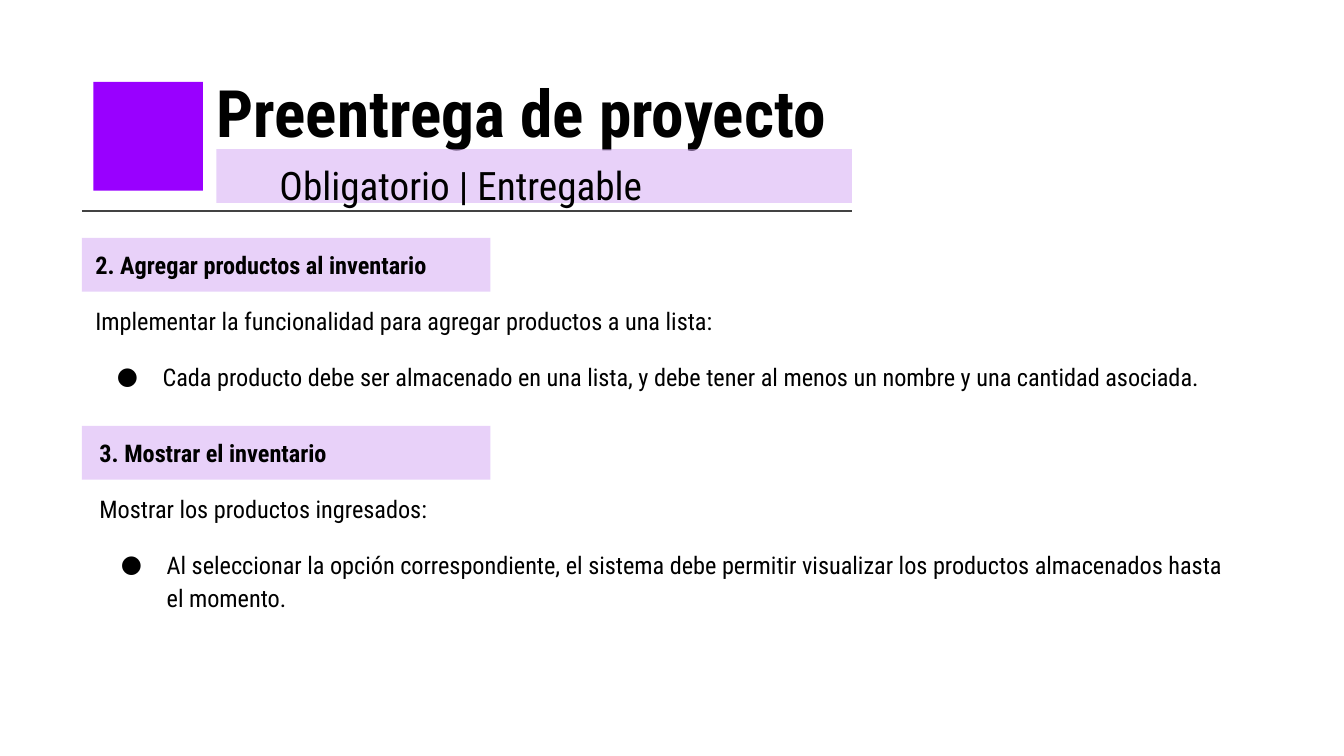
"""Build the project pre-delivery slide on a grid of tenth-of-an-inch columns and rows."""
import lxml.etree
import pptx
import pptx.dml.color
import pptx.enum.shapes
import pptx.enum.text
import pptx.oxml.ns
import pptx.util

COLORS = {"purple": "9900FF", "lilac": "D2A6F4", "rule": "434343", "text": "000000"}
FONT = "Roboto Condensed"
LEFT_COLUMN = 6.1
RIGHT_COLUMN = 63.4
BAND_ROWS = 4
SECTIONS = [
    {
        "box": (6.1, 17.3, 86, 15.7),
        "band_row": 17.7,
        "heading": "2. Agregar productos al inventario",
        "intro": "Implementar la funcionalidad para agregar productos a una lista:",
        "bullet": "Cada producto debe ser almacenado en una lista, y debe tener "
                  "al menos un nombre y una cantidad asociada.",
    },
    {
        "box": (6.4, 31.3, 86.8, 18.8),
        "band_row": 31.7,
        "heading": "3. Mostrar el inventario",
        "intro": "Mostrar los productos ingresados:",
        "bullet": "Al seleccionar la opción correspondiente, el sistema debe permitir "
                  "visualizar los productos almacenados hasta el momento.",
    },
]


def grid(*cells):
    return [pptx.util.Inches(cell / 10) for cell in cells]


def rgb(name):
    return pptx.dml.color.RGBColor.from_string(COLORS[name])


def add_child(parent, tag, **attributes):
    return lxml.etree.SubElement(parent, pptx.oxml.ns.qn(tag), **attributes)


def add_block(slide, box, color, opacity=None):
    rectangle = pptx.enum.shapes.MSO_SHAPE.RECTANGLE
    shape = slide.shapes.add_shape(rectangle, *grid(*box))
    shape.shadow.inherit = False
    shape.line.fill.background()
    shape.fill.solid()
    shape.fill.fore_color.rgb = rgb(color)
    if opacity is not None:
        color_element = shape.element.find(".//" + pptx.oxml.ns.qn("a:srgbClr"))
        add_child(color_element, "a:alpha", val=str(opacity * 1000))


def add_band(slide, column, row, columns):
    add_block(slide, (column, row, columns, BAND_ROWS), "lilac", 51)


def add_rule(slide, row):
    straight = pptx.enum.shapes.MSO_CONNECTOR.STRAIGHT
    rule = slide.shapes.add_connector(straight, *grid(LEFT_COLUMN, row, RIGHT_COLUMN, row))
    rule.line.color.rgb = rgb("rule")
    rule.line.width = pptx.util.Pt(0.75)
    add_child(rule.element.spPr, "a:effectLst")


def prepare_text(shape, box, inset):
    shape.left, shape.top, shape.width, shape.height = grid(*box)
    frame = shape.text_frame
    frame.word_wrap = True
    frame.auto_size = pptx.enum.text.MSO_AUTO_SIZE.NONE
    frame.vertical_anchor = pptx.enum.text.MSO_ANCHOR.TOP
    frame.margin_left, frame.margin_top, frame.margin_right, frame.margin_bottom = grid(*[inset] * 4)
    return frame


def write_paragraph(paragraph, text, size, bold=False, spacing=1.0, before=0):
    paragraph.alignment = pptx.enum.text.PP_ALIGN.LEFT
    paragraph.line_spacing = spacing
    paragraph.space_before = pptx.util.Pt(before)
    run = paragraph.add_run()
    run.text = text
    run.font.name = FONT
    run.font.size = pptx.util.Pt(size)
    run.font.bold = bold
    run.font.color.rgb = rgb("text")


def set_bullet(paragraph, bulleted):
    properties = paragraph._p.get_or_add_pPr()
    margin, indent = (0.5, -0.34) if bulleted else (0, 0)
    properties.set("marL", str(pptx.util.Inches(margin)))
    properties.set("indent", str(pptx.util.Inches(indent)))
    if bulleted:
        bullet_color = add_child(properties, "a:buClr")
        add_child(bullet_color, "a:srgbClr", val=COLORS["text"])
        add_child(properties, "a:buFont", typeface=FONT)
        add_child(properties, "a:buChar", char="●")
    else:
        add_child(properties, "a:buNone")


def add_title(slide, text):
    frame = prepare_text(slide.shapes.title, (15.1, 4.4, 77, 8.1), 1)
    write_paragraph(frame.paragraphs[0], text, 35, bold=True)


def add_subtitle(slide, text):
    box = (20.8, 11.3, 42.6, 7.8)
    frame = prepare_text(slide.shapes.add_textbox(*grid(*box)), box, 0)
    write_paragraph(frame.paragraphs[0], text, 21, spacing=1.2)


def add_section(slide, body, section):
    add_band(slide, LEFT_COLUMN, section["band_row"], 30.4)
    body.element.getparent().append(body.element)
    frame = prepare_text(body, section["box"], 1)
    for index, part in enumerate(("heading", "intro", "bullet")):
        paragraph = frame.add_paragraph() if index else frame.paragraphs[0]
        set_bullet(paragraph, part == "bullet")
        write_paragraph(paragraph, section[part], 13, bold=part == "heading",
                        spacing=1.15, before=12 if index else 0)


def main():
    presentation = pptx.Presentation()
    presentation.slide_width, presentation.slide_height = grid(100, 56.25)
    slide = presentation.slides.add_slide(presentation.slide_layouts[3])
    bodies = [slide.placeholders[1], slide.placeholders[2]]
    add_title(slide, "Preentrega de proyecto")
    add_rule(slide, 15.7)
    add_block(slide, (6.95, 6.1, 8.15, 8.1), "purple")
    add_band(slide, 16.1, 11.1, RIGHT_COLUMN - 16.1)
    add_subtitle(slide, "Obligatorio | Entregable")
    for body, section in zip(bodies, SECTIONS):
        add_section(slide, body, section)
    presentation.save("out.pptx")


if __name__ == "__main__":
    main()
